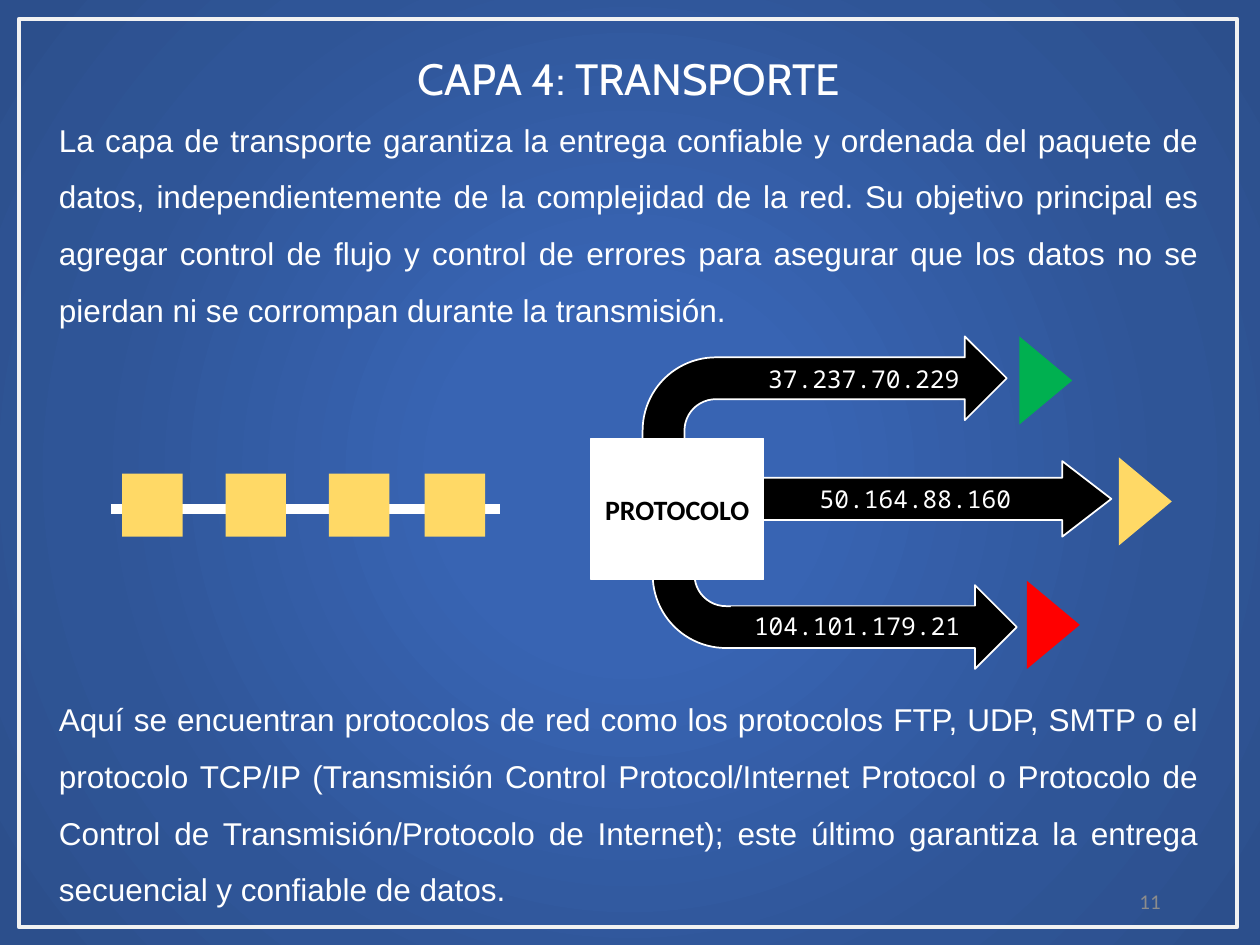
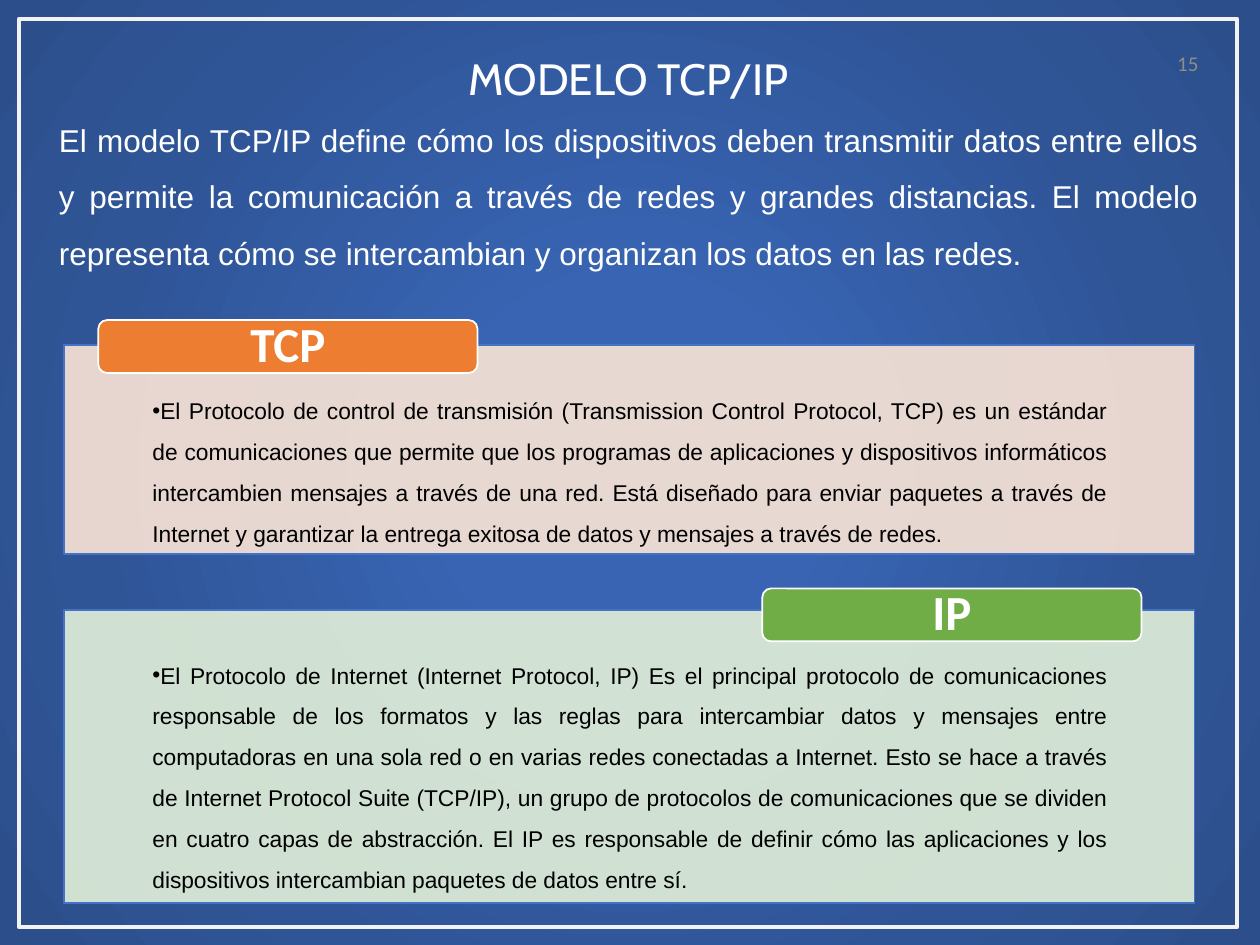
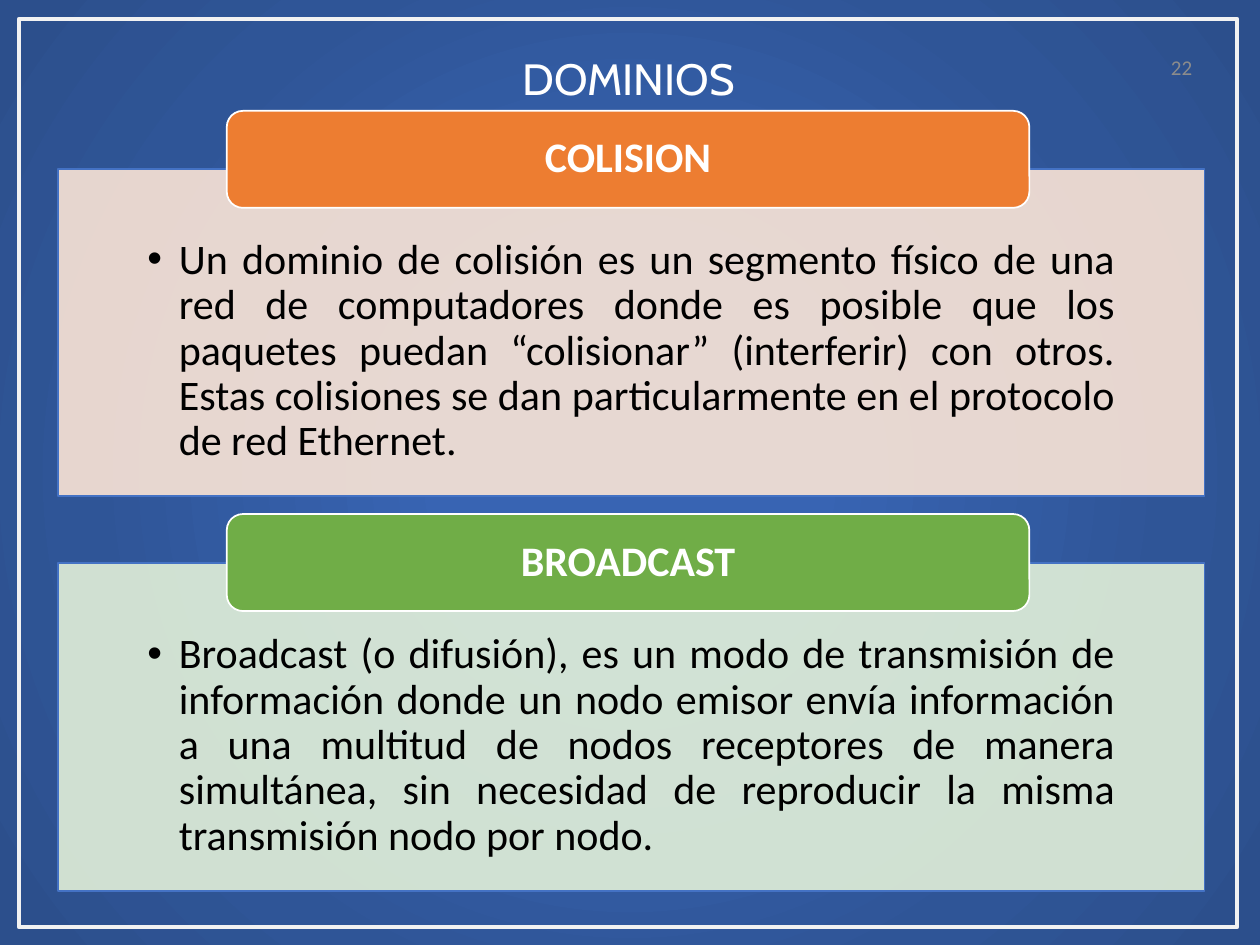
import dataclasses

import pptx
import pptx.dml.color
import pptx.enum.shapes
import pptx.enum.text
import pptx.oxml.ns
import pptx.util
from lxml import etree

Pt = pptx.util.Pt
qn = pptx.oxml.ns.qn
Shape = pptx.enum.shapes.MSO_SHAPE
Align = pptx.enum.text.PP_ALIGN
Anchor = pptx.enum.text.MSO_ANCHOR


@dataclasses.dataclass(frozen=True)
class Theme:
    background: tuple = ((0, "3864B3"), (23, "3864B3"), (69, "2F5597"), (97, "2C4F8C"))
    white: str = "FFFFFF"
    black: str = "000000"
    frame: str = "F2F2F2"
    page: str = "8C8C8C"
    panel_line: str = "4472C4"
    orange: str = "ED7D31"
    orange_pale: str = "FBE5D6"
    green: str = "70AD47"
    green_pale: str = "E2F0D9"
    packet: str = "FFD966"
    go: str = "00B050"
    stop: str = "FF0000"
    title_font: str = "Cabin"
    body_font: str = "Arial"
    label_font: str = "Calibri"
    address_font: str = "Noto Sans Mono"
    title_size: int = 25
    body_size: int = 18
    page_size: int = 12
    address_size: int = 14
    protocol_size: int = 16


THEME = Theme()


def rgb(color):
    return pptx.dml.color.RGBColor.from_string(color)


def style(target, values):
    for key, value in values.items():
        setattr(target, key, value)


def box(left, top, width, height):
    return [Pt(length) for length in (left, top, width, height)]


def write(holder, text, font, size, color, bold=False, insets=(7.2, 3.6, 7.2, 3.6),
          anchor=Anchor.MIDDLE, **paragraph_format):
    """Put one formatted paragraph into a shape or text box."""
    frame = holder.text_frame
    margins = ("margin_left", "margin_top", "margin_right", "margin_bottom")
    style(frame, dict(zip(margins, map(Pt, insets)), word_wrap=True, vertical_anchor=anchor))
    paragraph = frame.paragraphs[0]
    style(paragraph, {"alignment": Align.CENTER, **paragraph_format})
    run = paragraph.add_run()
    run.text = text
    style(run.font, {"name": font, "size": Pt(size), "bold": bold})
    run.font.color.rgb = rgb(color)
    return paragraph


def add_text(slide, area, *text, **formats):
    holder = slide.shapes.add_textbox(*box(*area))
    write(holder, *text, **formats)


def add_block(slide, kind, area, fill=None, line=None, line_width=1, adjust=(), turn=0):
    block = slide.shapes.add_shape(kind, *box(*area))
    style(block, {"rotation": turn})
    block.shadow.inherit = False
    if fill:
        block.fill.solid()
        block.fill.fore_color.rgb = rgb(fill)
    else:
        block.fill.background()
    if line:
        block.line.color.rgb = rgb(line)
        block.line.width = Pt(line_width)
    else:
        block.line.fill.background()
    for index, value in enumerate(adjust):
        block.adjustments[index] = value
    return block


def paint_background(master):
    master.background.fill.gradient()
    gradient = master.element.find(".//" + qn("a:gradFill"))
    for child in list(gradient):
        gradient.remove(child)
    stops = etree.SubElement(gradient, qn("a:gsLst"))
    for position, color in THEME.background:
        stop = etree.SubElement(stops, qn("a:gs"), pos=str(position * 1000))
        etree.SubElement(stop, qn("a:srgbClr"), val=color)
    circle = etree.SubElement(gradient, qn("a:path"), {"path": "circle"})
    etree.SubElement(circle, qn("a:fillToRect"), {side: "50000" for side in "ltrb"})


def add_slide(deck, title, page, page_at):
    slide = deck.slides.add_slide(deck.slide_layouts[6])
    add_block(slide, Shape.RECTANGLE, (10.8, 10.8, 696.24, 519.12),
              line=THEME.frame, line_width=2.25)
    add_text(slide, (-0.72, 25.92, 720, 37.44), title,
             THEME.title_font, THEME.title_size, THEME.white, anchor=Anchor.TOP)
    add_text(slide, (*page_at, 162, 28.8), page,
             THEME.label_font, THEME.page_size, THEME.page, alignment=Align.RIGHT)
    return slide


def add_body(slide, top, height, text):
    add_text(slide, (26.64, top, 665.28, height), text, THEME.body_font, THEME.body_size,
             THEME.white, anchor=Anchor.TOP, alignment=Align.JUSTIFY, line_spacing=1.5)


def add_panel(slide, area, fill, text, font, size, insets, spacing, indent):
    panel = add_block(slide, Shape.RECTANGLE, area, fill, THEME.panel_line)
    color = panel.element.spPr.find(qn("a:solidFill"))[0]
    etree.SubElement(color, qn("a:alpha"), val="90000")
    paragraph = write(panel, text, font, size, THEME.black, insets=insets, anchor=Anchor.TOP,
                      alignment=Align.JUSTIFY, level=1, line_spacing=spacing)
    properties = paragraph._p.get_or_add_pPr()
    properties.set("marL", str(Pt(indent)))
    properties.set("indent", str(-Pt(indent)))
    etree.SubElement(properties, qn("a:buFont"), typeface="Arial")
    etree.SubElement(properties, qn("a:buChar"), char="•")


def add_tab(slide, area, fill, text, size):
    """Draw the rounded heading that overlaps the top edge of a panel."""
    tab = add_block(slide, Shape.ROUNDED_RECTANGLE, area, fill, THEME.white)
    write(tab, text, THEME.label_font, size, THEME.white, bold=True,
          insets=(17.28, 0, 17.28, 0), line_spacing=0.9)


def add_bent_arrow(slide, left, top, flipped=False):
    arrow = add_block(slide, Shape.BENT_ARROW, (left, top, 208.08, 95.76),
                      THEME.black, THEME.white)
    if flipped:
        arrow.element.spPr.find(qn("a:xfrm")).set("flipV", "1")


def add_address(slide, area, address, adjust, line=None):
    arrow = add_block(slide, Shape.RIGHT_ARROW, area, THEME.black, line, adjust=adjust)
    write(arrow, address, THEME.address_font, THEME.address_size, THEME.white,
          insets=(0, 0, 0, 0))


def add_packet_line(slide):
    wire = slide.shapes.add_connector(pptx.enum.shapes.MSO_CONNECTOR.STRAIGHT,
                                      Pt(63.36), Pt(290.88), Pt(285.84), Pt(290.88))
    wire.line.color.rgb = rgb(THEME.white)
    wire.line.width = Pt(6)
    etree.SubElement(wire.element.spPr, qn("a:effectLst"))
    for left in (69.84, 128.88, 187.92, 242.64):
        add_block(slide, Shape.RECTANGLE, (left, 270.72, 34.56, 36), THEME.packet)


def add_routes(slide):
    """Draw the protocol box with its three addressed arrows and destinations."""
    add_bent_arrow(slide, 372.96, 286.56, flipped=True)
    add_address(slide, (426.96, 263.52, 208.08, 43.2), "50.164.88.160",
                (0.558, 0.649), THEME.white)
    add_bent_arrow(slide, 367.2, 192.24)
    add_address(slide, (428.4, 202.32, 141.12, 28.8), "37.237.70.229", (0.691, 0.527))
    protocol = add_block(slide, Shape.RECTANGLE, (337.68, 250.56, 98.64, 80.64),
                         THEME.white, THEME.white)
    write(protocol, "PROTOCOLO", THEME.label_font, THEME.protocol_size, THEME.black,
          bold=True, insets=(0, 0, 0, 0))
    add_address(slide, (417.6, 337.68, 149.76, 40.32), "104.101.179.21", (0.558, 0.234))
    for left, top, color in ((572.4, 202.32, THEME.go), (629.28, 271.44, THEME.packet),
                             (576.72, 342, THEME.stop)):
        add_block(slide, Shape.ISOSCELES_TRIANGLE, (left, top, 50.4, 30.24), color, turn=90)


def build_transport(deck):
    slide = add_slide(deck, "CAPA 4: TRANSPORTE", "11", (508.32, 500.4))
    add_body(slide, 54.72, 133.92,
             "La capa de transporte garantiza la entrega confiable y ordenada del paquete de "
             "datos, independientemente de la complejidad de la red. Su objetivo principal es "
             "agregar control de flujo y control de errores para asegurar que los datos no se "
             "pierdan ni se corrompan durante la transmisión.")
    add_body(slide, 385.92, 133.92,
             "Aquí se encuentran protocolos de red como los protocolos FTP, UDP, SMTP o el "
             "protocolo TCP/IP (Transmisión Control Protocol/Internet Protocol o Protocolo de "
             "Control de Transmisión/Protocolo de Internet); este último garantiza la entrega "
             "secuencial y confiable de datos.")
    add_routes(slide)
    add_packet_line(slide)


def build_model(deck):
    slide = add_slide(deck, "MODELO TCP/IP", "15", (529.92, 21.6))
    add_body(slide, 54.72, 100.8,
             "El modelo TCP/IP define cómo los dispositivos deben transmitir datos entre ellos "
             "y permite la comunicación a través de redes y grandes distancias. El modelo "
             "representa cómo se intercambian y organizan los datos en las redes.")
    protocols = (
        ("TCP", 197.28, 119.52, 56.16, 182.88, THEME.orange, THEME.orange_pale,
         "El Protocolo de control de transmisión (Transmission Control Protocol, TCP) es un "
         "estándar de comunicaciones que permite que los programas de aplicaciones y "
         "dispositivos informáticos intercambien mensajes a través de una red. Está diseñado "
         "para enviar paquetes a través de Internet y garantizar la entrega exitosa de datos "
         "y mensajes a través de redes."),
        ("IP", 348.48, 167.76, 435.6, 336.24, THEME.green, THEME.green_pale,
         "El Protocolo de Internet (Internet Protocol, IP) Es el principal protocolo de "
         "comunicaciones responsable de los formatos y las reglas para intercambiar datos y "
         "mensajes entre computadoras en una sola red o en varias redes conectadas a "
         "Internet. Esto se hace a través de Internet Protocol Suite (TCP/IP), un grupo de "
         "protocolos de comunicaciones que se dividen en cuatro capas de abstracción. El IP "
         "es responsable de definir cómo las aplicaciones y los dispositivos intercambian "
         "paquetes de datos entre sí."),
    )
    for name, top, height, tab_left, tab_top, color, pale, text in protocols:
        add_panel(slide, (36.72, top, 645.84, height), pale, text, THEME.body_font, 13,
                  insets=(50.4, 21.6, 50.4, 7.2), spacing=1.5, indent=0)
        add_tab(slide, (tab_left, tab_top, 216.72, 30.24), color, name, 28)


def build_domains(deck):
    slide = add_slide(deck, "DOMINIOS", "22", (526.32, 23.76))
    domains = (
        ("COLISION", 96.48, 63.36, THEME.orange, THEME.orange_pale,
         "Un dominio de colisión es un segmento físico de una red de computadores donde es "
         "posible que los paquetes puedan “colisionar” (interferir) con otros. Estas "
         "colisiones se dan particularmente en el protocolo de red Ethernet."),
        ("BROADCAST", 321.84, 293.76, THEME.green, THEME.green_pale,
         "Broadcast (o difusión), es un modo de transmisión de información donde un nodo "
         "emisor envía información a una multitud de nodos receptores de manera simultánea, "
         "sin necesidad de reproducir la misma transmisión nodo por nodo."),
    )
    for name, top, tab_top, color, pale, text in domains:
        add_panel(slide, (33.12, top, 655.2, 187.2), pale, text, THEME.label_font, 24,
                  insets=(51.12, 39.6, 51.12, 13.68), spacing=0.9, indent=18)
        add_tab(slide, (129.6, tab_top, 458.64, 55.44), color, name, 24)


def main():
    deck = pptx.Presentation()
    style(deck, {"slide_width": Pt(720), "slide_height": Pt(540)})
    paint_background(deck.slide_master)
    build_transport(deck)
    build_model(deck)
    build_domains(deck)
    deck.save("out.pptx")


if __name__ == "__main__":
    main()
